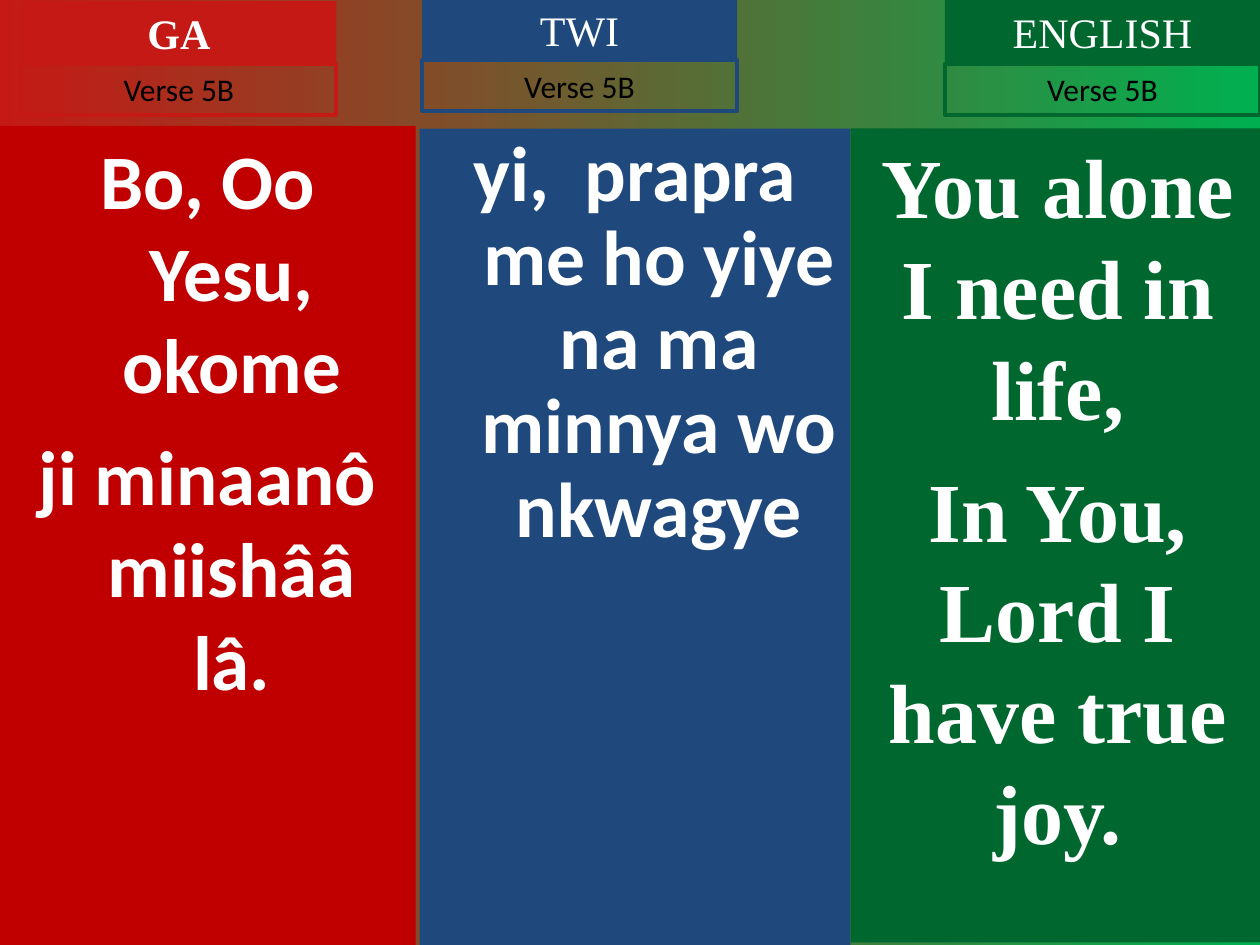
from pptx import Presentation
from pptx.dml.color import RGBColor
from pptx.enum.shapes import MSO_SHAPE
from pptx.enum.text import MSO_ANCHOR, PP_ALIGN
from pptx.oxml import parse_xml
from pptx.oxml.ns import nsdecls
from pptx.util import Inches, Pt


def tint(code):
    return RGBColor.from_string(code)


def write(text, at, fill=None, line=None, size=24, font="Calibri", color="FFFFFF",
          bold=False, gap=0, lead=None, hang=0, tab=None):
    box = slide.shapes.add_shape(MSO_SHAPE.RECTANGLE, *[Inches(n) for n in at])
    box.shadow.inherit = False
    if fill:
        box.fill.solid()
        box.fill.fore_color.rgb = tint(fill)
    else:
        box.fill.background()
    if line:
        box.line.color.rgb = tint(line)
        box.line.width = Pt(2.25)
    else:
        box.line.fill.background()
    frame = box.text_frame
    frame.word_wrap = True
    frame.vertical_anchor = MSO_ANCHOR.TOP
    for i, part in enumerate(text.split("\n")):
        para = frame.add_paragraph() if i else frame.paragraphs[0]
        para.alignment = PP_ALIGN.CENTER
        if hang:
            props = para._p.get_or_add_pPr()
            props.set("marL", str(Inches(hang)))
            props.set("indent", str(-Inches(hang)))
        if tab:
            props.append(parse_xml(
                f'<a:tabLst {nsdecls("a")}><a:tab pos="{Inches(tab)}" algn="l"/></a:tabLst>'))
        if i:
            para.space_before = Pt(gap)
        if lead:
            para.line_spacing = lead
        run = para.add_run()
        run.text = part
        run.font.size = Pt(size)
        run.font.name = font
        run.font.bold = bold
        run.font.color.rgb = tint(color)


deck = Presentation()
deck.slide_width = Inches(10)
deck.slide_height = Inches(7.5)
slide = deck.slides.add_slide(deck.slide_layouts[6])

back = slide.background.fill
back.gradient()
back.gradient_angle = 0
for stop, code, spot in zip(back.gradient_stops, ["C51915", "00B050"], [0, 1]):
    stop.color.rgb = tint(code)
    stop.position = spot

serif = "Times New Roman"
write("Bo, Oo Yesu, okome\nji minaanô miishââ lâ.", (0, 1, 3.3, 6.5),
      fill="C00000", size=44, bold=True, gap=11, hang=0.38)
write("yi,\tprapra me ho yiye na ma minnya wo nkwagye", (3.33, 1.02, 3.42, 6.48),
      fill="1F497D", size=44.4, bold=True, lead=0.9, hang=0.38, tab=1.5)
write("You alone I need in life,\nIn You, Lord I have true joy.", (6.75, 1.02, 3.29, 6.46),
      fill="00682F", size=48, font=serif, bold=True, gap=12)

heads = [("GA", 0.17, 0.01, 0.51, "C51915"),
         ("TWI", 3.35, -0.01, 0.48, "1F497D"),
         ("ENGLISH", 7.5, 0, 0.51, "00682F")]
for name, left, top, low, code in heads:
    write(name, (left, top, 2.5, 0.5), fill=code, font=serif, bold=name == "GA")
    write("Verse 5B", (left, low, 2.5, 0.4), line=code, size=18, color="000000")

deck.save("out.pptx")
